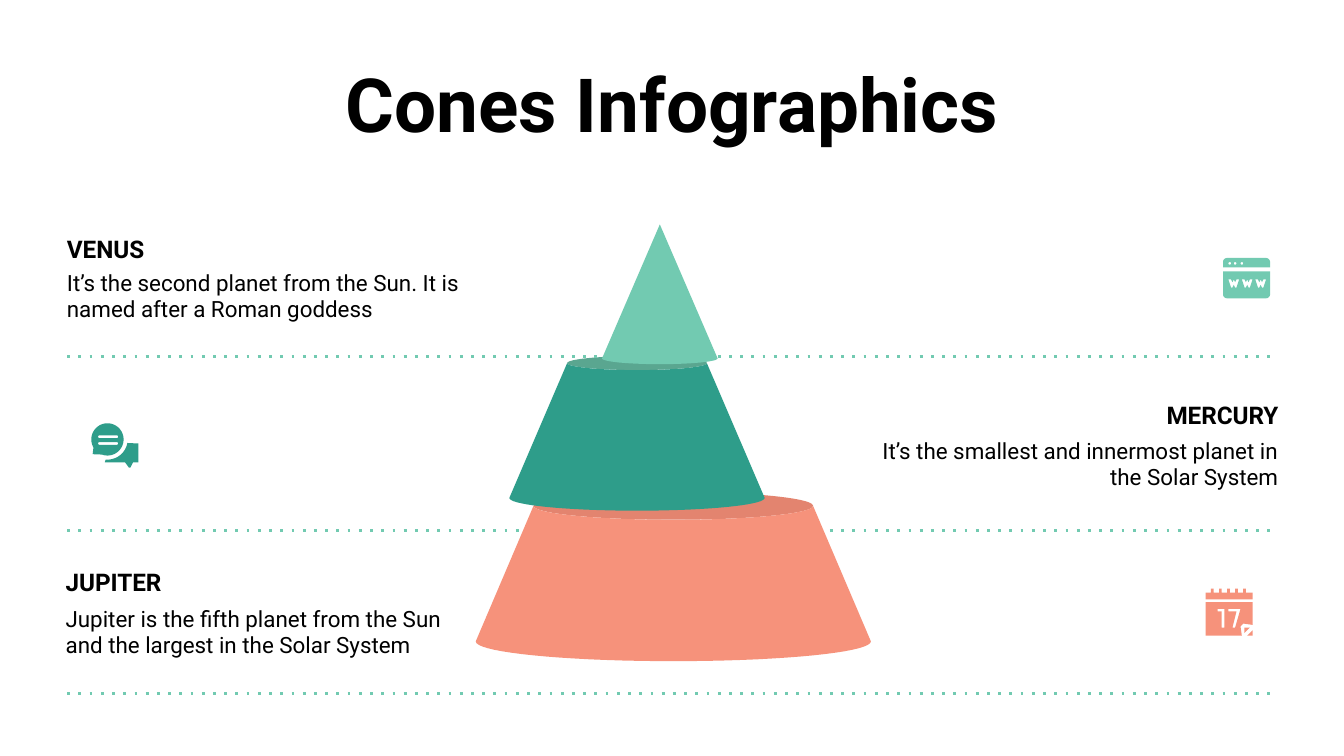
import math

from lxml import etree
from pptx import Presentation
from pptx import util as u
from pptx.dml.color import RGBColor
from pptx.enum import shapes, text
from pptx.oxml.ns import qn

MINT, TEAL, CORAL = "72CAB1", "2E9D8A", "F6927B"
MINT_RIM, CORAL_RIM = "5AA690", "E3846F"
FLATNESS = 0.1
LEFT, CENTER, RIGHT = text.PP_ALIGN.LEFT, text.PP_ALIGN.CENTER, text.PP_ALIGN.RIGHT


def color(value):
    """Turn a hex string into a colour."""
    return RGBColor.from_string(value)


def inches(*values):
    """Convert several lengths from inches."""
    return [u.Inches(value) for value in values]


def arc(x, y, radius_x, radius_y, start, end):
    """Return points along an elliptical arc, with angles in degrees."""
    steps = max(4, round(abs(end - start) / 5))
    angles = [math.radians(start + (end - start) * i / steps) for i in range(steps + 1)]
    return [(x + radius_x * math.cos(a), y + radius_y * math.sin(a)) for a in angles]


def shift(points, x, y):
    """Move points by an offset."""
    return [(x + dx, y + dy) for dx, dy in points]


def paint(shape, fill):
    """Give a shape a plain fill without line or shadow."""
    shape.shadow.inherit = False
    shape.fill.solid()
    shape.fill.fore_color.rgb = color(fill)
    shape.line.fill.background()


def add_outline(page, box, contours, fill):
    """Draw closed contours, relative to a box, as one shape with holes."""
    placed = [[inches(*point) for point in shift(points, *box[:2])] for points in contours]
    builder = page.shapes.build_freeform(*placed[0][0], scale=1.0)
    for index, points in enumerate(placed):
        if index:
            builder.move_to(*points[0])
        builder.add_line_segments(points[1:], close=True)
    paint(builder.convert_to_shape(), fill)


def add_text(page, box, content, size=12, bold=False, align=LEFT):
    """Place one paragraph of text in a box."""
    frame = page.shapes.add_textbox(*inches(*box)).text_frame
    frame.word_wrap = True
    frame.vertical_anchor = text.MSO_ANCHOR.MIDDLE
    frame.margin_left = frame.margin_right = u.Inches(0.1)
    frame.margin_top = frame.margin_bottom = u.Inches(0.1)
    para = frame.paragraphs[0]
    para.alignment = align
    span = para.add_run()
    span.text = content
    span.font.name, span.font.size, span.font.bold = "Roboto", u.Pt(size), bold
    span.font.color.rgb = color("000000")


def add_divider(page, y):
    """Draw a dotted line across the page."""
    line = page.shapes.add_connector(
        shapes.MSO_CONNECTOR.STRAIGHT, *inches(0.5, y, 9.5, y))
    line.line.color.rgb = color(MINT)
    line.line.width = u.Pt(1.5)
    properties = line._element.spPr
    etree.SubElement(properties.find(qn("a:ln")), qn("a:prstDash"), val="dot")
    etree.SubElement(properties, qn("a:effectLst"))


def add_cone_layer(page, box, top_width, fill, rim=None):
    """Draw a cone, or a cut cone with a visible rim, inside a box."""
    left, top, width, height = box
    middle, top_radius, base_radius = width / 2, top_width / 2, width / 2
    top_depth, base_depth = top_radius * FLATNESS, base_radius * FLATNESS
    if rim:
        oval = page.shapes.add_shape(shapes.MSO_SHAPE.OVAL, *inches(
            left + middle - top_radius, top, top_width, 2 * top_depth))
        paint(oval, rim)
    body = (arc(middle, top_depth, top_radius, top_depth, 180, 0)
            + arc(middle, height - base_depth, base_radius, base_depth, 0, 180))
    add_outline(page, box, [body], fill)


def add_caption(page, box, heading, body, align=LEFT, drop=0.28):
    """Place a heading with its description below."""
    left, top, width, height = box
    add_text(page, (left, top + drop, width, height - drop), body, align=align)
    add_text(page, (left, top, width, 0.38), heading, size=13, bold=True, align=align)


def add_browser_icon(page, box, fill):
    """Draw a browser window."""
    width, height = box[2:]
    corner, far = 0.03, width - 0.03
    header = [(0, 0.07), *arc(corner, corner, corner, corner, 180, 270),
              *arc(far, corner, corner, corner, 270, 360), (width, 0.07)]
    dots = [arc(x, 0.04, 0.01, 0.01, 0, 360) for x in (0.05, 0.09, 0.14)]
    low = height - corner
    body = [(0, 0.1), (width, 0.1), *arc(far, low, corner, corner, 0, 90),
            *arc(corner, low, corner, corner, 90, 180)]
    letter = [(0, 0), (0.02, 0), (0.03, 0.02), (0.04, 0), (0.05, 0.02), (0.06, 0),
              (0.08, 0), (0.06, 0.06), (0.05, 0.06), (0.04, 0.04), (0.03, 0.06),
              (0.02, 0.06)]
    letters = [shift(letter, 0.04 + 0.1 * i, 0.16) for i in range(3)]
    add_outline(page, box, [header, *dots], fill)
    add_outline(page, box, [body, *letters], fill)


def add_calendar_icon(page, box, fill):
    """Draw a calendar leaf with a folded corner."""
    width, height = box[2:]
    ring = [(-0.01, 0.03), (-0.01, 0), (0.01, 0), (0.01, 0.03)]
    rings = [point for i in range(5) for point in shift(ring, 0.05 + 0.06 * i, 0)]
    header = [(0, 0.08), (0, 0.03), *rings, (width, 0.03), (width, 0.08)]
    leaf = [(0, 0.1), (width, 0.1), (width, 0.27), (0.28, 0.26), (0.26, 0.28),
            (0.27, height), (0, height)]
    one = [(0.09, 0.15), (0.14, 0.15), (0.14, 0.29), (0.12, 0.29), (0.12, 0.17),
           (0.09, 0.17)]
    seven = [(0.17, 0.15), (0.26, 0.15), (0.22, 0.29), (0.2, 0.29), (0.23, 0.17),
             (0.17, 0.17)]
    fold = [(0.29, 0.29), (0.33, 0.29), (0.29, 0.33)]
    corner = [(width, 0.31), (0.31, height), (width, height)]
    for contours in ([header], [leaf, one, seven], [fold], [corner]):
        add_outline(page, box, contours, fill)


def add_chat_icon(page, box, fill):
    """Draw two overlapping speech bubbles."""
    width, height = box[2:]
    back = [*arc(0.12, 0.12, 0.15, 0.15, 10, 95), (0.1, 0.29), (0.25, 0.29),
            (0.28, height), (0.29, height), (0.31, 0.29), (width, 0.29), (width, 0.15)]
    front = [*arc(0.12, 0.12, 0.12, 0.12, 150, 470), (0.01, 0.23)]
    bars = [arc(0.06, y, 0.01, 0.01, 90, 270) + arc(0.19, y, 0.01, 0.01, 270, 450)
            for y in (0.1, 0.15)]
    add_outline(page, box, [back], fill)
    add_outline(page, box, [front, *bars], fill)


def main():
    """Build the slide and save it."""
    deck = Presentation()
    deck.slide_width = u.Inches(10)
    deck.slide_height = deck.slide_width * 9 // 16
    page = deck.slides.add_slide(deck.slide_layouts[6])
    add_divider(page, 3.95)
    add_text(page, (0.5, 0.45, 9, 0.63), "Cones Infographics", size=40, bold=True,
             align=CENTER)
    add_cone_layer(page, (3.54, 3.66, 2.94, 1.26), 2.08, CORAL, CORAL_RIM)
    add_cone_layer(page, (3.79, 2.65, 1.9, 1.15), 1.04, TEAL, MINT_RIM)
    add_cone_layer(page, (4.48, 1.67, 0.86, 1.04), 0, MINT)
    add_divider(page, 2.65)
    add_divider(page, 5.16)
    add_caption(page, (0.4, 1.66, 3.16, 0.81), "VENUS",
                "It’s the second planet from the Sun. It is named after a Roman goddess",
                drop=0.27)
    add_caption(page, (0.39, 4.14, 3.16, 0.83), "JUPITER",
                "Jupiter is the fifth planet from the Sun and the largest in the Solar System",
                drop=0.29)
    add_caption(page, (6.23, 2.9, 3.38, 0.82), "MERCURY",
                "It’s the smallest and innermost planet in the Solar System", align=RIGHT)
    add_browser_icon(page, (9.1, 1.92, 0.35, 0.3), MINT)
    add_calendar_icon(page, (8.97, 4.38, 0.35, 0.35), CORAL)
    add_chat_icon(page, (0.68, 3.15, 0.35, 0.33), TEAL)
    deck.save("out.pptx")


if __name__ == "__main__":
    main()
